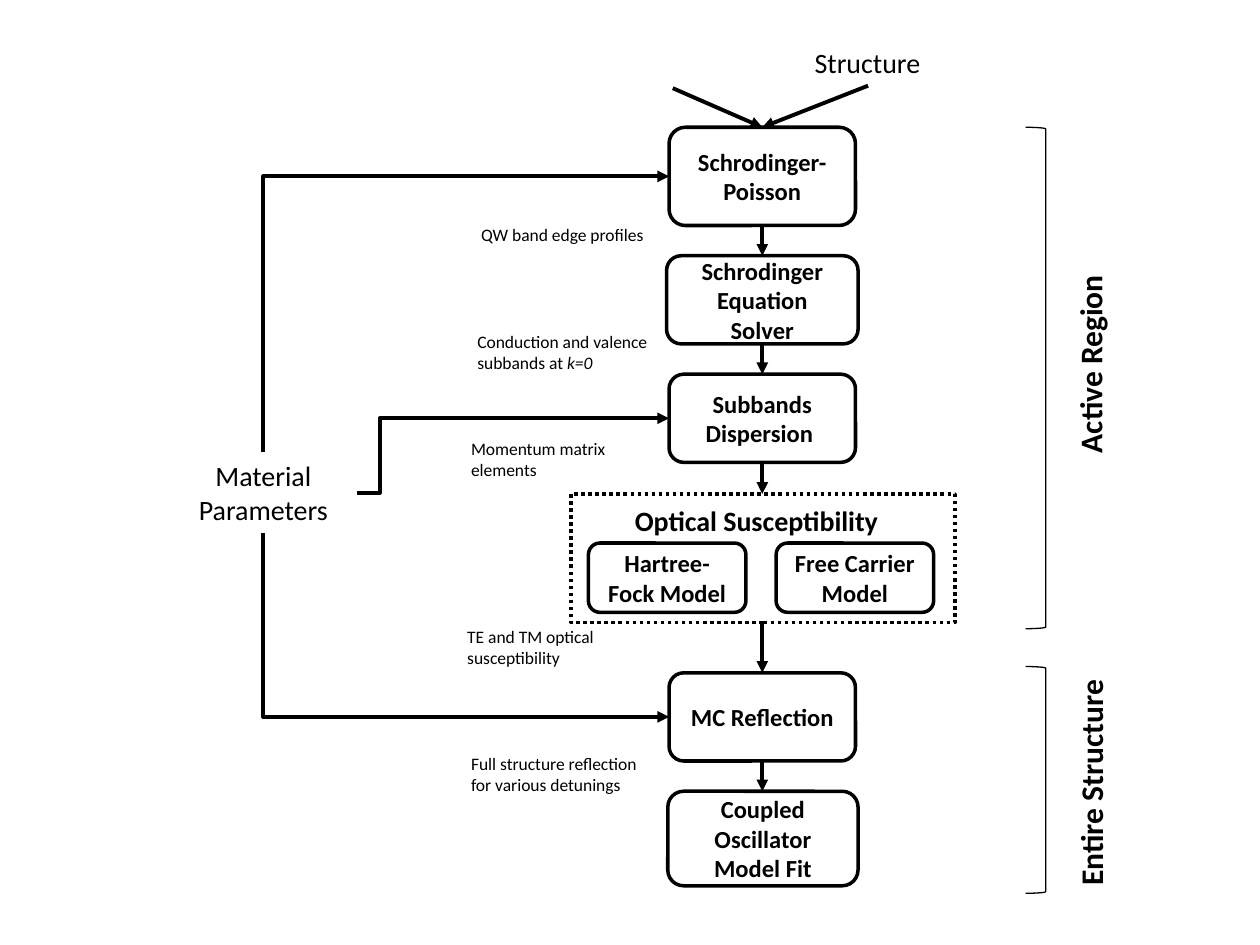
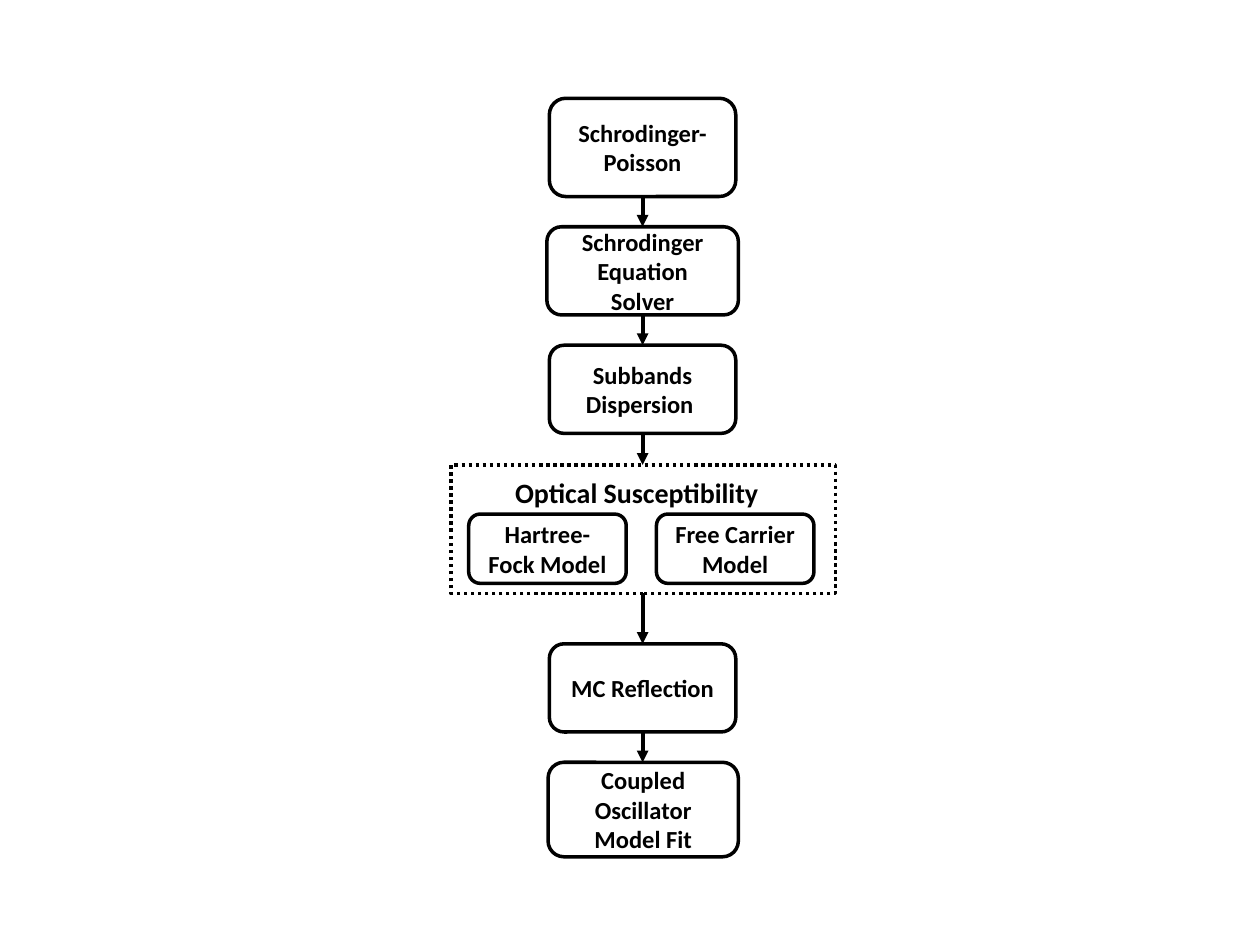
"""Build two flowchart slides of an optical simulation: with its inputs, and the core alone."""
from lxml.etree import SubElement
from pptx import Presentation
from pptx.dml.color import RGBColor
from pptx.enum.dml import MSO_LINE
from pptx.enum.shapes import MSO_CONNECTOR, MSO_SHAPE
from pptx.enum.text import MSO_ANCHOR, PP_ALIGN
from pptx.oxml.ns import qn
from pptx.util import Inches, Pt

BLACK = RGBColor(0x00, 0x00, 0x00)
WHITE = RGBColor(0xFF, 0xFF, 0xFF)

STEP_FONT = {"name": "Calibri", "size": Pt(14), "bold": True}
GROUP_FONT = {"name": "Calibri", "size": Pt(16), "bold": True}
INPUT_FONT = {"name": "Calibri", "size": Pt(16)}
NOTE_FONT = {"name": "Calibri", "size": Pt(10)}
REGION_FONT = {"name": "Calibri", "size": Pt(18), "bold": True}
GROUP_FRAME = {"vertical_anchor": MSO_ANCHOR.TOP, "margin_top": Inches(0.08), "margin_right": Inches(0.2)}
STEP_FRAME = {"vertical_anchor": MSO_ANCHOR.MIDDLE}

SUSCEPTIBILITY = (4.53, 3.92, 3.05, 1.02)
STEPS = [
    ("Schrodinger-Poisson", 5.31, 1.01, 1.48, 0.78),
    ("Schrodinger Equation Solver", 5.29, 2.03, 1.52, 0.7),
    ("Subbands Dispersion ", 5.31, 2.97, 1.48, 0.7),
    ("Hartree-Fock Model", 4.67, 4.31, 1.25, 0.55),
    ("Free Carrier Model", 6.16, 4.31, 1.25, 0.55),
    ("MC Reflection", 5.31, 5.34, 1.48, 0.7),
    ("Coupled Oscillator Model Fit", 5.3, 6.28, 1.51, 0.75),
]
FLOW_X = 6.05
FLOW_GAPS = [(1.79, 2.03), (2.73, 2.97), (3.67, 3.92), (4.94, 5.34), (6.04, 6.28)]

NOTES = [
    (["QW band edge profiles"], 3.72, 1.73, 1.51, 0.27),
    (["Conduction and valence subbands at ", "k=0"], 3.69, 2.58, 1.95, 0.44),
    (["Momentum matrix elements"], 3.64, 3.43, 1.69, 0.44),
    (["TE and TM optical susceptibility"], 3.61, 4.92, 1.69, 0.44),
    (["Full structure reflection for various detunings"], 3.64, 5.93, 1.69, 0.44),
]
INPUTS = [
    ("Structure", 6.36, 0.31, 1.05, 0.37),
    ("Material Parameters", 1.35, 3.59, 1.48, 0.64),
]
REGIONS = [
    ("Active Region", (7.84, 2.69, 1.62, 0.4), (8.14, 1.01, 0.16, 3.98)),
    ("Entire Structure", (7.73, 6.01, 1.85, 0.4), (8.14, 5.29, 0.16, 1.8)),
]
STRUCTURE_ARROWS = [(6.89, 0.68), (5.34, 0.7)]
MATERIAL_ARROWS = [
    ((2.09, 4.23), (5.31, 5.69), 0),
    ((2.09, 3.59), (5.31, 1.4), 0),
    ((2.83, 3.91), (5.31, 3.32), 7400),
]


def write(shape, parts, font, align=PP_ALIGN.CENTER, frame_format={}):
    """Fill a shape with one paragraph; parts after the first are italic."""
    frame = shape.text_frame
    frame.word_wrap = True
    for key, value in frame_format.items():
        setattr(frame, key, value)
    paragraph = frame.paragraphs[0]
    paragraph.alignment = align
    for index, part in enumerate(parts):
        run = paragraph.add_run()
        run.text = part
        run.font.color.rgb = BLACK
        for key, value in font.items():
            setattr(run.font, key, value)
        if index:
            run.font.italic = True


def draw_arrow(slide, start, end, bend=None):
    """Draw an arrow, bent at the given share of its width when one is set."""
    kind = MSO_CONNECTOR.STRAIGHT if bend is None else MSO_CONNECTOR.ELBOW
    arrow = slide.shapes.add_connector(kind, *[Inches(v) for v in start + end])
    arrow.line.color.rgb = BLACK
    arrow.line.width = Pt(2.25)
    properties = arrow._element.spPr
    SubElement(properties.find(qn("a:ln")), qn("a:tailEnd"), type="triangle")
    SubElement(properties, qn("a:effectLst"))
    if bend is not None:
        guides = properties.find(qn("a:prstGeom")).find(qn("a:avLst"))
        SubElement(guides, qn("a:gd"), name="adj1", fmla=f"val {bend}")


presentation = Presentation()
presentation.slide_width = Inches(10)
presentation.slide_height = Inches(7.5)
blank = presentation.slide_layouts[6]
full_slide = presentation.slides.add_slide(blank)
core_slide = presentation.slides.add_slide(blank)

for slide, dx, dy in [(full_slide, 0, 0), (core_slide, -0.95, -0.23)]:
    boxes = [(MSO_SHAPE.RECTANGLE, "Optical Susceptibility", *SUSCEPTIBILITY, GROUP_FONT, GROUP_FRAME)]
    boxes += [(MSO_SHAPE.ROUNDED_RECTANGLE, *step, STEP_FONT, STEP_FRAME) for step in STEPS]
    for kind, label, left, top, width, height, font, frame_format in boxes:
        box = slide.shapes.add_shape(
            kind, Inches(left + dx), Inches(top + dy), Inches(width), Inches(height))
        box.shadow.inherit = False
        box.fill.solid()
        box.fill.fore_color.rgb = WHITE
        box.line.color.rgb = BLACK
        box.line.width = Pt(2)
        if kind == MSO_SHAPE.RECTANGLE:
            box.line.dash_style = MSO_LINE.ROUND_DOT
        write(box, [label], font, frame_format=frame_format)
    for upper, lower in FLOW_GAPS:
        draw_arrow(slide, (FLOW_X + dx, upper + dy), (FLOW_X + dx, lower + dy))

for parts, *place in NOTES:
    note = full_slide.shapes.add_textbox(*[Inches(v) for v in place])
    write(note, parts, NOTE_FONT, PP_ALIGN.LEFT)

for label, *place in INPUTS:
    source = full_slide.shapes.add_textbox(*[Inches(v) for v in place])
    write(source, [label], INPUT_FONT)

for label, place, span in REGIONS:
    bracket = full_slide.shapes.add_shape(MSO_SHAPE.RIGHT_BRACKET, *[Inches(v) for v in span])
    bracket.shadow.inherit = False
    bracket.fill.background()
    bracket.line.color.rgb = BLACK
    bracket.line.width = Pt(0.75)
    region = full_slide.shapes.add_textbox(*[Inches(v) for v in place])
    region.rotation = 270
    write(region, [label], REGION_FONT, frame_format={"word_wrap": False})

for start in STRUCTURE_ARROWS:
    draw_arrow(full_slide, start, (FLOW_X, 1.01))
for start, end, bend in MATERIAL_ARROWS:
    draw_arrow(full_slide, start, end, bend)

presentation.save("out.pptx")
